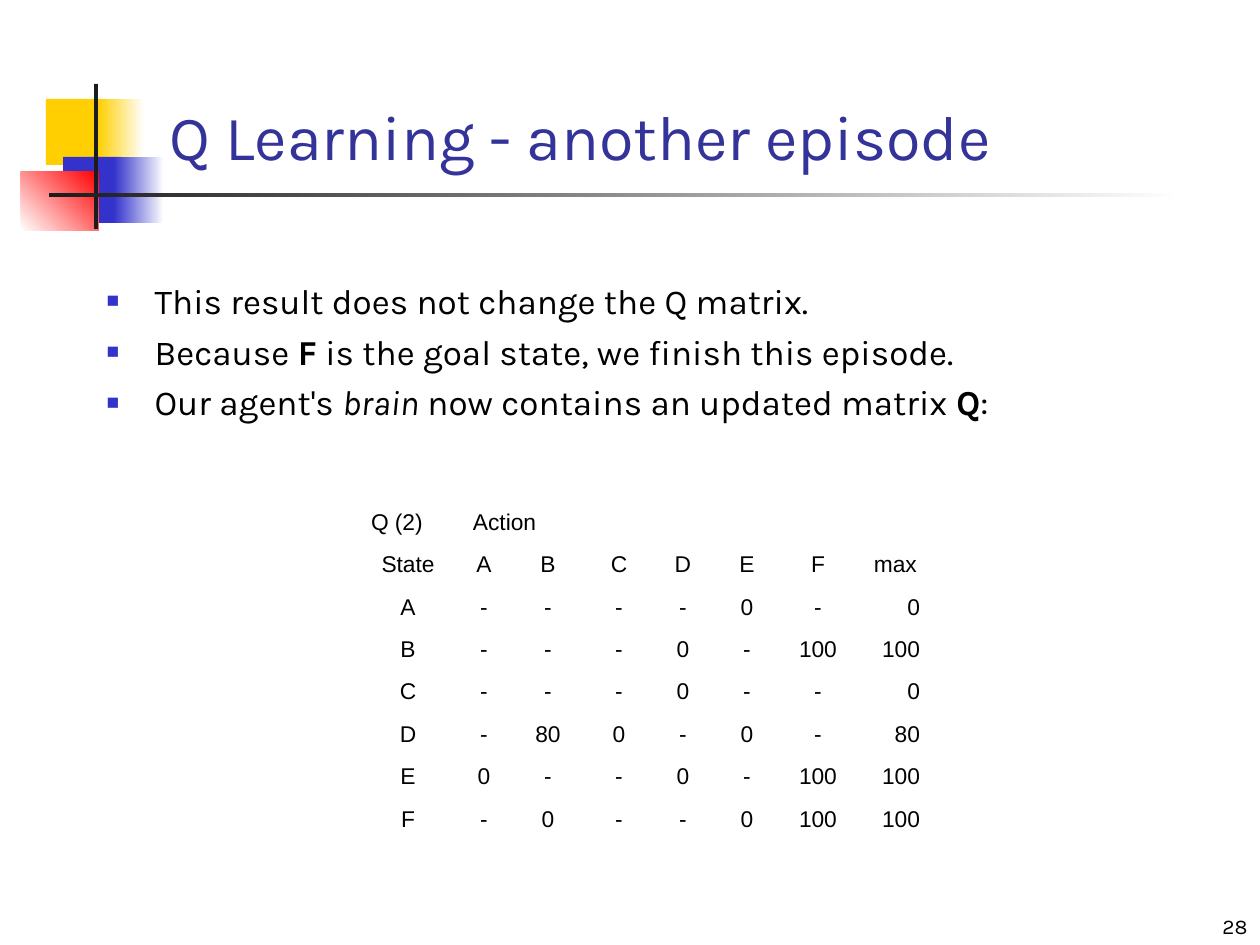
from dataclasses import dataclass

from lxml import etree
from pptx import Presentation, util as u
from pptx.dml.color import RGBColor
from pptx.enum import shapes, text
from pptx.oxml import ns

PX = 914400 // 126
WIDTH, HEIGHT = 1260, 945


@dataclass(frozen=True)
class Theme:
    heading_font: str = "Karla"
    table_font: str = "Arial"
    title_size: int = 36
    body_size: int = 20
    table_size: int = 13
    number_size: int = 12
    title: str = "333399"
    ink: str = "000000"
    bullet: str = "3333CC"
    yellow: str = "FFCF01"
    blue: str = "3333CC"
    red: str = "FF0000"
    bar: str = "1C1C1C"
    white: str = "FFFFFF"


THEME = Theme()
TITLE = "Q Learning - another episode"
PAGE_NUMBER = "28"
# Each bullet is a list of (words, style) runs.
BULLETS = [
    [("This result does not change the Q matrix.", "")],
    [("Because ", ""), ("F", "bold"), (" is the goal state, we finish this episode.", "")],
    [("Our agent's ", ""), ("brain", "italic"),
     (" now contains an updated matrix ", ""), ("Q", "bold"), (":", "")],
]
Q_MATRIX = [
    ["Q (2)", "Action", "", "", "", "", "", ""],
    ["State", "A", "B", "C", "D", "E", "F", "max"],
    ["A", "-", "-", "-", "-", "0", "-", "0"],
    ["B", "-", "-", "-", "0", "-", "100", "100"],
    ["C", "-", "-", "-", "0", "-", "-", "0"],
    ["D", "-", "80", "0", "-", "0", "-", "80"],
    ["E", "0", "-", "-", "0", "-", "100", "100"],
    ["F", "-", "0", "-", "-", "0", "100", "100"],
]
COLUMN_WIDTHS = [102, 50, 78, 64, 64, 64, 78, 77]
HEADER_HEIGHT, TABLE_HEIGHT = 77, 374
# Box, colours from start to end, counter-clockwise gradient angle.
ORNAMENTS = [
    ((46, 99, 60, 66), [THEME.yellow], 0),
    ((98, 99, 46, 66), [THEME.yellow, THEME.white], 0),
    ((63, 157, 58, 66), [THEME.blue], 0),
    ((114, 157, 50, 66), [THEME.blue, THEME.white], 0),
    ((21, 172, 78, 59), [THEME.white, THEME.red], 45),
    ((94, 84, 4, 145), [THEME.bar], 0),
    ((49, 193, 1134, 4), [THEME.bar, THEME.white], 0),
]


def emu(*lengths):
    return [u.Emu(round(length * PX)) for length in lengths]


def add_run(paragraph, words, font_name, size, color, style=""):
    run = paragraph.add_run()
    run.text = words
    run.font.name, run.font.size = font_name, u.Pt(size)
    run.font.color.rgb = RGBColor.from_string(color)
    if style:
        setattr(run.font, style, True)


def add_ornament(slide, box, colors, angle):
    shape = slide.shapes.add_shape(shapes.MSO_SHAPE.RECTANGLE, *emu(*box))
    shape.shadow.inherit = False
    shape.line.fill.background()
    if len(colors) == 1:
        shape.fill.solid()
        shape.fill.fore_color.rgb = RGBColor.from_string(colors[0])
        return
    shape.fill.gradient()
    shape.fill.gradient_angle = angle
    for stop, color in zip(shape.fill.gradient_stops, colors):
        stop.color.rgb = RGBColor.from_string(color)


def place(shape, *box):
    shape.left, shape.top, shape.width, shape.height = emu(*box)
    shape.text_frame.word_wrap = True
    shape.text_frame.auto_size = text.MSO_AUTO_SIZE.NONE


def set_square_bullet(paragraph):
    properties = paragraph._p.get_or_add_pPr()
    indent = emu(48)[0]
    properties.set("marL", str(indent))
    properties.set("indent", str(-indent))
    color = etree.SubElement(properties, ns.qn("a:buClr"))
    etree.SubElement(color, ns.qn("a:srgbClr"), val=THEME.bullet)
    etree.SubElement(properties, ns.qn("a:buSzPct"), val="60000")
    etree.SubElement(properties, ns.qn("a:buFont"), typeface=THEME.table_font)
    etree.SubElement(properties, ns.qn("a:buChar"), char="■")


def add_title(slide):
    title = slide.shapes.title
    place(title, 157, 94, 1074, 85)
    title.text_frame.vertical_anchor = text.MSO_ANCHOR.BOTTOM
    paragraph = title.text_frame.paragraphs[0]
    paragraph.alignment = text.PP_ALIGN.LEFT
    add_run(paragraph, TITLE, THEME.heading_font, THEME.title_size, THEME.title)


def add_bullets(slide):
    body = slide.placeholders[1]
    place(body, 94, 273, 1113, 620)
    frame = body.text_frame
    for index, runs in enumerate(BULLETS):
        paragraph = frame.add_paragraph() if index else frame.paragraphs[0]
        set_square_bullet(paragraph)
        paragraph.space_before = u.Pt(5 if index else 0)
        for words, style in runs:
            add_run(paragraph, words, THEME.heading_font, THEME.body_size, THEME.ink, style)


def cell_alignment(row, column):
    if row == 0:
        return text.PP_ALIGN.LEFT
    is_row_maximum = row > 1 and column == len(COLUMN_WIDTHS) - 1
    return text.PP_ALIGN.RIGHT if is_row_maximum else text.PP_ALIGN.CENTER


def add_q_table(slide):
    frame = slide.shapes.add_table(len(Q_MATRIX), len(COLUMN_WIDTHS),
                                   *emu(357, 464, sum(COLUMN_WIDTHS), TABLE_HEIGHT))
    table = frame.table
    table.first_row = table.horz_banding = False
    for column, width in zip(table.columns, COLUMN_WIDTHS):
        column.width = emu(width)[0]
    row_height = (TABLE_HEIGHT - HEADER_HEIGHT) / (len(Q_MATRIX) - 1)
    for row_index, values in enumerate(Q_MATRIX):
        table.rows[row_index].height = emu(row_height if row_index else HEADER_HEIGHT)[0]
        for column_index, value in enumerate(values):
            cell = table.cell(row_index, column_index)
            cell.fill.background()
            cell.vertical_anchor = text.MSO_ANCHOR.BOTTOM
            cell.margin_left = cell.margin_right = emu(14)[0]
            cell.margin_top = cell.margin_bottom = emu(6)[0]
            if value:
                paragraph = cell.text_frame.paragraphs[0]
                paragraph.alignment = cell_alignment(row_index, column_index)
                add_run(paragraph, value, THEME.table_font, THEME.table_size, THEME.ink)
    table.cell(0, 1).merge(table.cell(0, 2))


def add_page_number(slide):
    box = slide.shapes.add_textbox(0, 0, 0, 0)
    place(box, 998, 892, 262, 53)
    box.text_frame.vertical_anchor = text.MSO_ANCHOR.BOTTOM
    paragraph = box.text_frame.paragraphs[0]
    paragraph.alignment = text.PP_ALIGN.RIGHT
    add_run(paragraph, PAGE_NUMBER, THEME.heading_font, THEME.number_size, THEME.ink)


def main():
    presentation = Presentation()
    presentation.slide_width, presentation.slide_height = emu(WIDTH, HEIGHT)
    slide = presentation.slides.add_slide(presentation.slide_layouts[1])
    for ornament in ORNAMENTS:
        add_ornament(slide, *ornament)
    add_page_number(slide)
    add_title(slide)
    add_bullets(slide)
    add_q_table(slide)
    presentation.save("out.pptx")


if __name__ == "__main__":
    main()
